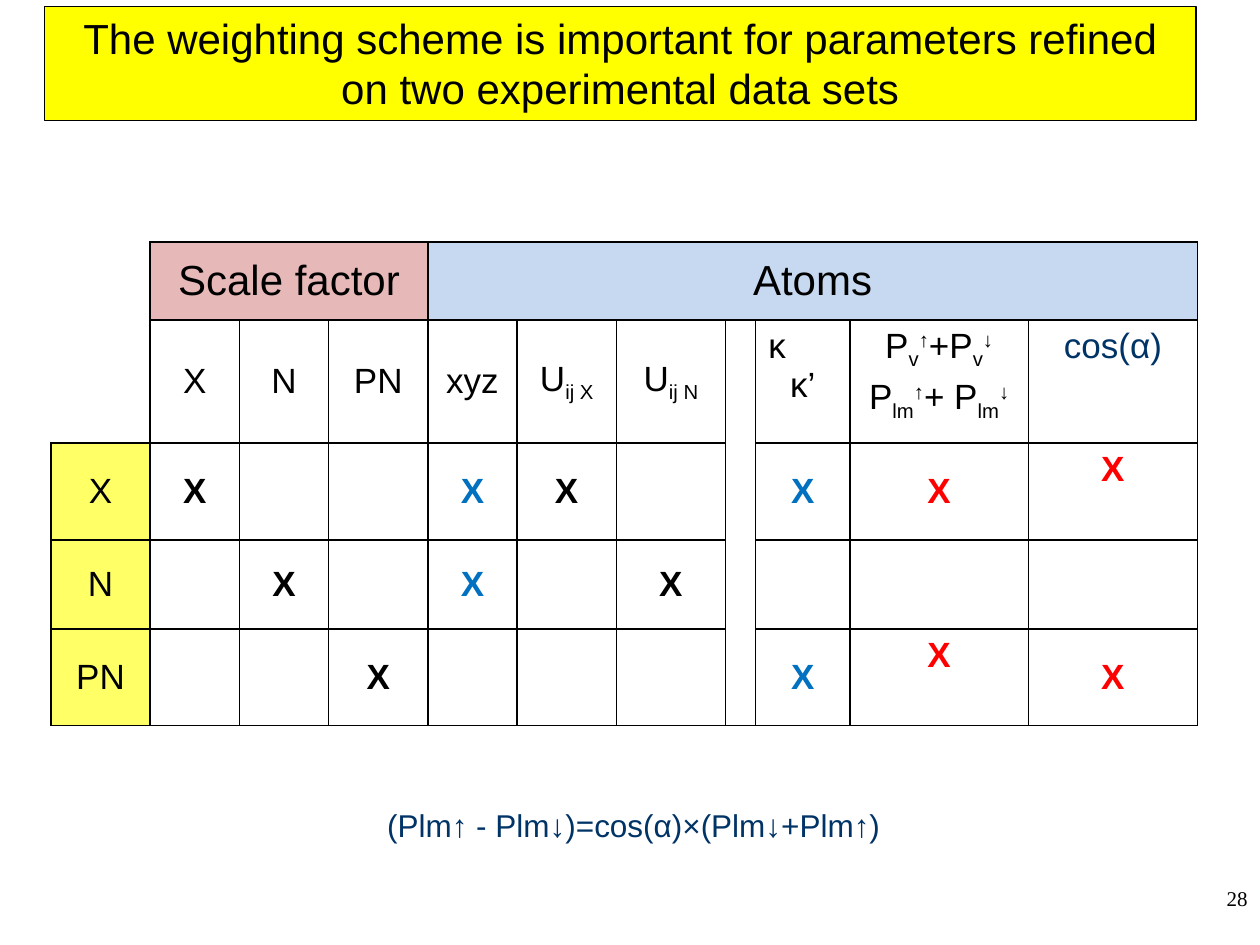
"""Build the slide on weighting schemes for parameters refined on two data sets."""
from dataclasses import dataclass
from typing import Optional

import lxml.etree
import pptx
import pptx.dml.color
import pptx.enum.text
import pptx.oxml.ns
import pptx.util

Pt = pptx.util.Pt
RGBColor = pptx.dml.color.RGBColor
Align = pptx.enum.text.PP_ALIGN
Anchor = pptx.enum.text.MSO_ANCHOR
qn = pptx.oxml.ns.qn

BLACK = RGBColor(0x00, 0x00, 0x00)
NAVY = RGBColor(0x00, 0x33, 0x66)
BLUE = RGBColor(0x00, 0x70, 0xC0)
RED = RGBColor(0xFF, 0x00, 0x00)
YELLOW = RGBColor(0xFF, 0xFF, 0x00)
PALE_YELLOW = RGBColor(0xFF, 0xFF, 0x66)
PINK = RGBColor(0xE6, 0xB9, 0xB8)
PALE_BLUE = RGBColor(0xC6, 0xD9, 0xF1)

SUBSCRIPT, SUPERSCRIPT = -25000, 30000
COLUMN_WIDTHS = (56.7, 51, 51, 56.7, 51, 56.7, 62.4, 17, 53.8, 102.2, 96.4)
ROW_HEIGHTS = (44.6, 70.4, 55.4, 50.8, 55.2)
MERGES = (((0, 0), (1, 0)), ((0, 1), (0, 3)), ((0, 4), (0, 10)), ((1, 7), (4, 7)))


@dataclass(frozen=True)
class Line:
    """A paragraph made of (text, baseline) pieces."""

    pieces: tuple[tuple[str, int], ...]
    align: Align = Align.CENTER
    space_before: float = 0


@dataclass(frozen=True)
class Style:
    """The font of a paragraph."""

    size: float = 20
    color: RGBColor = BLACK
    bold: bool = False
    name: str = "Arial"


@dataclass(frozen=True)
class Entry:
    """The content of one table cell."""

    row: int
    column: int
    lines: tuple[Line, ...]
    style: Style = Style()
    fill: Optional[RGBColor] = None
    anchor: Anchor = Anchor.MIDDLE


def plain(text: str, align: Align = Align.CENTER) -> Line:
    """Return a line without raised or lowered pieces."""
    return Line(((text, 0),), align)


def spin_sum(index: str, joint: str, space_before: float = 0) -> Line:
    """Return the sum of the up and down populations with an index."""
    up, down = (
        (("P", 0), (index, SUBSCRIPT), (arrow, SUPERSCRIPT)) for arrow in "↑↓"
    )
    return Line(up + ((joint, 0),) + down, space_before=space_before)


def mark(row: int, column: int, color: RGBColor = BLACK,
         anchor: Anchor = Anchor.MIDDLE) -> Entry:
    """Return a bold cross for a refined parameter."""
    return Entry(row, column, (plain("X"),), Style(color=color, bold=True), anchor=anchor)


def write(text_frame, lines: tuple[Line, ...], style: Style) -> None:
    """Fill a text frame with styled lines."""
    for index, line in enumerate(lines):
        paragraph = text_frame.add_paragraph() if index else text_frame.paragraphs[0]
        paragraph.alignment = line.align
        if line.space_before:
            paragraph.space_before = Pt(line.space_before)
        font = paragraph.font
        font.name, font.size, font.bold = style.name, Pt(style.size), style.bold
        font.color.rgb = style.color
        for text, baseline in line.pieces:
            run = paragraph.add_run()
            run.text = text
            if baseline:
                run.font._element.set("baseline", str(baseline))


def draw_borders(cell, sides: str) -> None:
    """Give a cell black lines on the named sides and none elsewhere."""
    properties = cell._tc.get_or_add_tcPr()
    for side in "LRTB":
        line = lxml.etree.SubElement(properties, qn(f"a:ln{side}"), w=str(Pt(1)))
        if side in sides:
            fill = lxml.etree.SubElement(line, qn("a:solidFill"))
            lxml.etree.SubElement(fill, qn("a:srgbClr"), val=str(BLACK))
        else:
            lxml.etree.SubElement(line, qn("a:noFill"))


def add_parameter_table(slide, entries: list[Entry]) -> None:
    """Draw the table of refined parameters."""
    table = slide.shapes.add_table(
        len(ROW_HEIGHTS), len(COLUMN_WIDTHS), Pt(29.1), Pt(138.3),
        Pt(sum(COLUMN_WIDTHS)), Pt(sum(ROW_HEIGHTS)),
    ).table
    table.first_row = table.horz_banding = False
    table_properties = table._tbl.tblPr
    table_properties.remove(table_properties.find(qn("a:tableStyleId")))
    for column, width in zip(table.columns, COLUMN_WIDTHS):
        column.width = Pt(width)
    for row, height in zip(table.rows, ROW_HEIGHTS):
        row.height = Pt(height)
    for first, last in MERGES:
        table.cell(*first).merge(table.cell(*last))
    for row in range(len(ROW_HEIGHTS)):
        for column in range(len(COLUMN_WIDTHS)):
            cell = table.cell(row, column)
            draw_borders(cell, "RB" if column == 0 and row < 2 else "LRTB")
            cell.fill.background()
    for entry in entries:
        cell = table.cell(entry.row, entry.column)
        cell.vertical_anchor = entry.anchor
        if entry.fill is not None:
            cell.fill.solid()
            cell.fill.fore_color.rgb = entry.fill
        write(cell.text_frame, entry.lines, entry.style)


def add_text(slide, box: tuple[float, ...], line: Line, style: Style, wrap: bool):
    """Add a text box and return it."""
    shape = slide.shapes.add_textbox(*map(Pt, box))
    shape.text_frame.word_wrap = wrap
    write(shape.text_frame, (line,), style)
    return shape


def table_entries() -> list[Entry]:
    """List the filled cells of the table."""
    heading = Style(size=24)
    lowered = [Line((("U", 0), (f"ij {name}", SUBSCRIPT))) for name in "XN"]
    labels = [plain(name) for name in ("X", "N", "PN", "xyz")] + lowered
    entries = [
        Entry(0, 1, (plain("Scale factor"),), heading, PINK),
        Entry(0, 4, (plain("Atoms"),), heading, PALE_BLUE),
        Entry(1, 8, (plain("κ", Align.LEFT), plain("κ’")), anchor=Anchor.TOP),
        Entry(1, 9, (spin_sum("v", "+"), spin_sum("lm", "+ ", 4)), anchor=Anchor.TOP),
        Entry(1, 10, (plain("cos(α)"),), Style(color=NAVY), anchor=Anchor.TOP),
    ]
    entries += [Entry(1, column, (label,)) for column, label in enumerate(labels, 1)]
    entries += [
        Entry(row, 0, (plain(name),), fill=PALE_YELLOW)
        for row, name in enumerate(("X", "N", "PN"), 2)
    ]
    entries += [mark(*place) for place in ((2, 1), (3, 2), (4, 3), (2, 5), (3, 6))]
    entries += [mark(*place, BLUE) for place in ((2, 4), (3, 4), (2, 8), (4, 8))]
    entries += [mark(*place, RED) for place in ((2, 9), (4, 10))]
    entries += [mark(*place, RED, Anchor.TOP) for place in ((2, 10), (4, 9))]
    return entries


def main() -> None:
    """Build and save the presentation."""
    presentation = pptx.Presentation()
    presentation.slide_width, presentation.slide_height = Pt(720), Pt(540)
    slide = presentation.slides.add_slide(presentation.slide_layouts[6])
    title = add_text(
        slide, (25.4, 3.6, 658, 65.4),
        plain("The weighting scheme is important for parameters refined "
              "on two experimental data sets"),
        Style(size=24), True,
    )
    title.fill.solid()
    title.fill.fore_color.rgb = YELLOW
    title.line.color.rgb = BLACK
    title.line.width = Pt(0.75)
    add_parameter_table(slide, table_entries())
    add_text(slide, (552.2, 502.5, 167.8, 37.5), plain("28", Align.RIGHT),
             Style(size=12, name="Times New Roman"), True)
    add_text(slide, (212.4, 457.2, 299.5, 29), plain("(Plm↑ - Plm↓)=cos(α)×(Plm↓+Plm↑)"),
             Style(size=18, color=NAVY), False)
    presentation.save("out.pptx")


if __name__ == "__main__":
    main()
